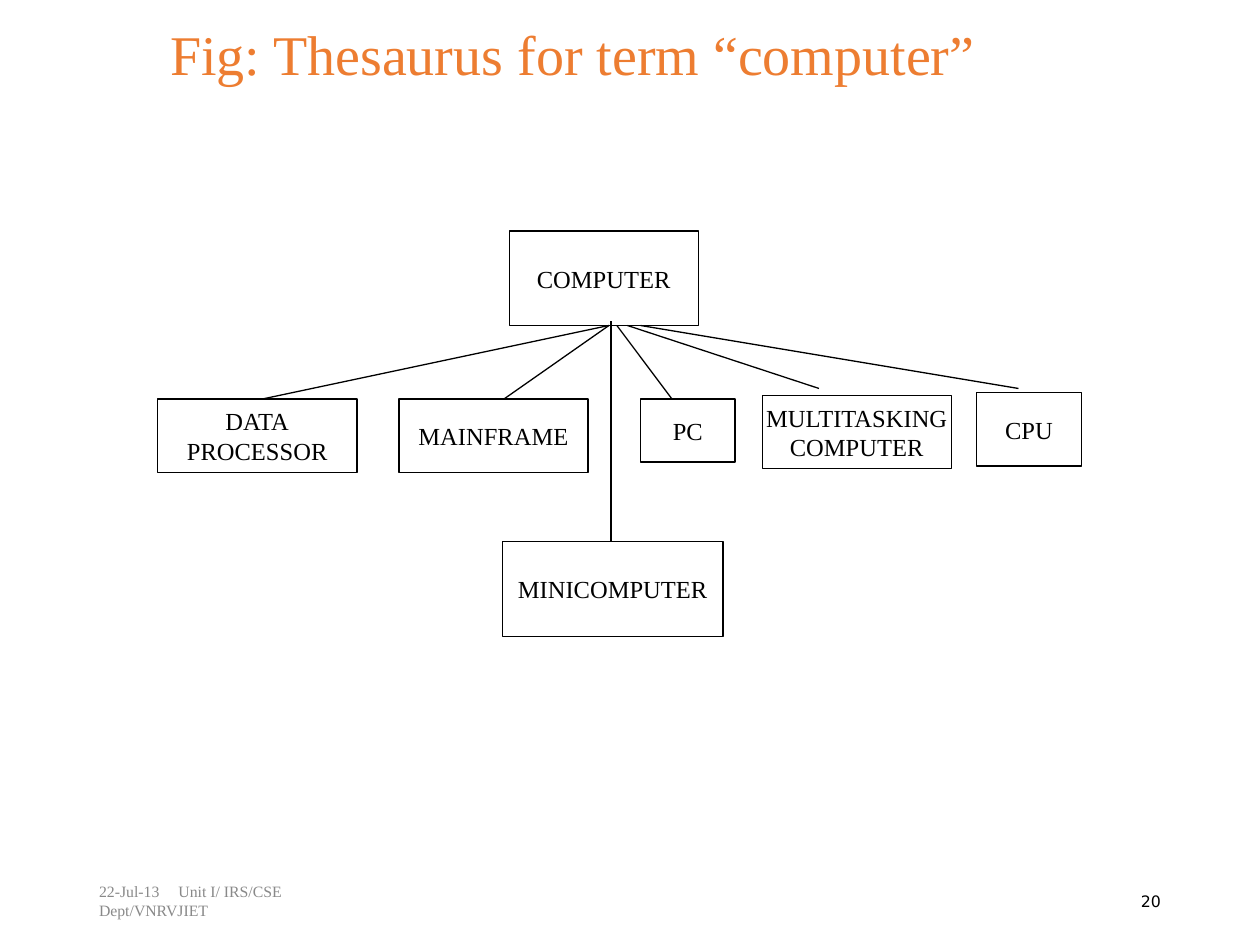
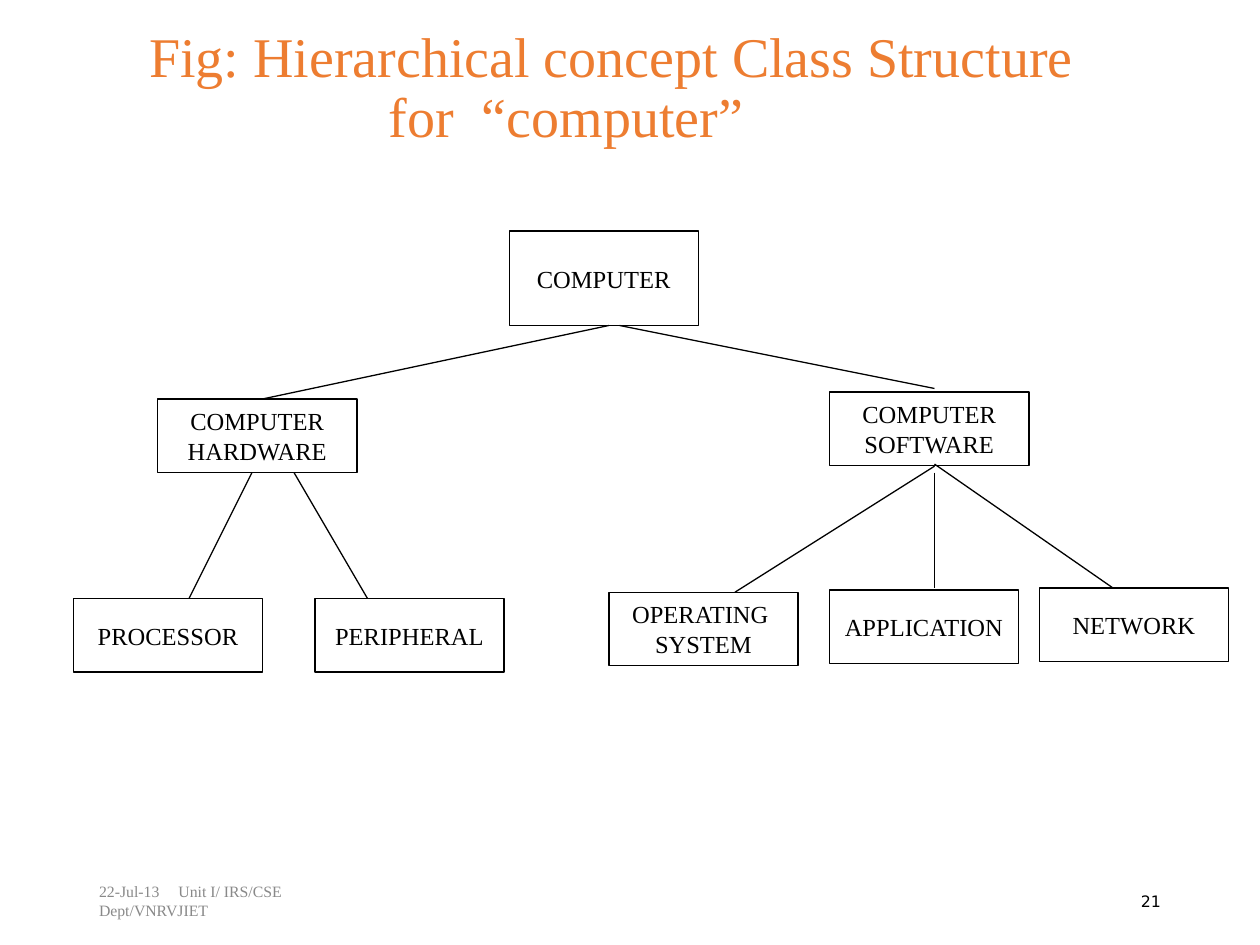
"""Build two slides that show a thesaurus and a class hierarchy for one term."""
from dataclasses import dataclass

import pptx
import pptx.dml.color
import pptx.enum.shapes
import pptx.enum.text
import pptx.oxml
import pptx.oxml.ns
import pptx.util

ALIGN = pptx.enum.text.PP_ALIGN
TITLE_ONLY = 5
COLUMNS, ROWS = 120, 90
SLIDE_WIDTH = pptx.util.Inches(10)
SLIDE_HEIGHT = pptx.util.Inches(7.5)


@dataclass(frozen=True)
class Theme:
    """Colours, fonts and sizes that the slides share."""
    title_color: str = "ED7D31"
    footer_color: str = "898989"
    ink: str = "000000"
    font: str = "Times New Roman"
    number_font: str = "DejaVu Sans"
    title_size: int = 32
    node_size: int = 14
    footer_size: int = 9
    line_width: float = 0.75


THEME = Theme()
ROOT = (48.5, 22, 18, 9, ["COMPUTER"])

THESAURUS_NODES = [
    ROOT,
    (15, 38, 19, 7, ["DATA", "PROCESSOR"]),
    (38, 38, 18, 7, ["MAINFRAME"]),
    (61, 38, 9, 6, ["PC"]),
    (47.85, 51.6, 21, 9, ["MINICOMPUTER"]),
    (72.6, 37.65, 18, 7, ["MULTITASKING", "COMPUTER"]),
    (93, 37.4, 10, 7, ["CPU"]),
]
THESAURUS_LINKS = [
    (58.2, 30.6, 58.2, 51.6),
    (58.75, 31, 64, 38),
    (59.75, 31, 78, 37),
    (61, 31, 97, 37),
    (58, 31, 48, 38),
    (58, 31, 25, 38),
]
HIERARCHY_NODES = [
    ROOT,
    (15, 38, 19, 7, ["COMPUTER", "HARDWARE"]),
    (79, 37.35, 19, 7, ["COMPUTER", "SOFTWARE"]),
    (7, 57, 18, 7, ["PROCESSOR"]),
    (30, 57, 18, 7, ["PERIPHERAL"]),
    (58, 56.4, 18, 7, ["OPERATING ", "SYSTEM"]),
    (79, 56.2, 18, 7, ["APPLICATION"]),
    (99, 56, 18, 7, ["NETWORK"]),
]
HIERARCHY_LINKS = [
    (59, 31, 89, 37),
    (58, 31, 25, 38),
    (24, 45, 18, 57),
    (28, 45, 35, 57),
    (89, 45, 89, 56),
    (89, 44.4, 70, 56.4),
    (89, 44.2, 106, 56),
]


def grid(*values):
    """Turn alternating column and row counts into slide lengths."""
    units = (SLIDE_WIDTH / COLUMNS, SLIDE_HEIGHT / ROWS)
    return [round(value * units[index % 2]) for index, value in enumerate(values)]


def add_tab_stops(paragraph, stops):
    """Give a paragraph left tab stops, in inches."""
    properties = paragraph._p.get_or_add_pPr()
    tab_list = pptx.oxml.parse_xml(f'<a:tabLst {pptx.oxml.ns.nsdecls("a")}/>')
    for stop in stops:
        tab = tab_list.makeelement(pptx.oxml.ns.qn("a:tab"),
                                   {"pos": str(pptx.util.Inches(stop)), "algn": "l"})
        tab_list.append(tab)
    properties.append(tab_list)


def write(shape, lines, size, color, font=THEME.font, align=ALIGN.LEFT,
          wrap=True, spacing=1.0, stops=()):
    """Fill a shape with one formatted paragraph per line."""
    frame = shape.text_frame
    frame.auto_size = pptx.enum.text.MSO_AUTO_SIZE.NONE
    frame.word_wrap = wrap
    frame.vertical_anchor = pptx.enum.text.MSO_ANCHOR.MIDDLE
    for index, line in enumerate(lines):
        paragraph = frame.add_paragraph() if index else frame.paragraphs[0]
        paragraph.alignment = align
        paragraph.line_spacing = spacing
        if "\t" in line:
            add_tab_stops(paragraph, stops)
        run = paragraph.add_run()
        run.text = line
        run.font.size = pptx.util.Pt(size)
        run.font.name = font
        run.font.color.rgb = pptx.dml.color.RGBColor.from_string(color)


def draw_line(line):
    """Apply the shared outline to a shape or connector."""
    line.color.rgb = pptx.dml.color.RGBColor.from_string(THEME.ink)
    line.width = pptx.util.Pt(THEME.line_width)


def set_title(slide, column, row, lines):
    """Place the title so that it reaches the right edge of the slide."""
    title = slide.shapes.title
    title.left, title.top, title.width, title.height = grid(
        column, row, COLUMNS - column, 13)
    write(title, lines, THEME.title_size, THEME.title_color,
          spacing=0.9, stops=(1.9, 2.64))


def add_footer(slide, number):
    """Add the date line and the slide number."""
    date = slide.shapes.add_textbox(*grid(8.25, 83.4, 27, 4.8))
    write(date, ["22-Jul-13\tUnit I/ IRS/CSE Dept/VNRVJIET"],
          THEME.footer_size, THEME.footer_color, stops=(0.63,))
    page = slide.shapes.add_textbox(*grid(84.75, 83.4, 27, 4.8))
    write(page, [str(number)], THEME.footer_size, THEME.ink,
          font=THEME.number_font, align=ALIGN.RIGHT)


def add_node(slide, column, row, width, height, lines):
    """Add one outlined box with centred text."""
    node = slide.shapes.add_shape(pptx.enum.shapes.MSO_SHAPE.RECTANGLE,
                                  *grid(column, row, width, height))
    node.shadow.inherit = False
    node.fill.background()
    draw_line(node.line)
    write(node, lines, THEME.node_size, THEME.ink, align=ALIGN.CENTER, wrap=False)


def add_link(slide, *ends):
    """Add one straight line between two grid points."""
    link = slide.shapes.add_connector(pptx.enum.shapes.MSO_CONNECTOR.STRAIGHT,
                                      *grid(*ends))
    draw_line(link.line)
    properties = link.element.spPr
    properties.append(properties.makeelement(pptx.oxml.ns.qn("a:effectLst"), {}))


def add_diagram_slide(presentation, number, title, nodes, links):
    """Add a slide with a title, a tree of boxes and the footer."""
    layout = presentation.slide_layouts[TITLE_ONLY]
    slide = presentation.slides.add_slide(layout)
    set_title(slide, *title)
    add_footer(slide, number)
    for node in nodes:
        add_node(slide, *node)
    for link in links:
        add_link(slide, *link)


def main():
    """Build and save the presentation."""
    presentation = pptx.Presentation()
    presentation.slide_width = SLIDE_WIDTH
    presentation.slide_height = SLIDE_HEIGHT
    add_diagram_slide(presentation, 20,
                      (15, -1, ["Fig: Thesaurus for term “computer”"]),
                      THESAURUS_NODES, THESAURUS_LINKS)
    add_diagram_slide(presentation, 21,
                      (13, 2, ["Fig: Hierarchical concept Class Structure",
                               "\tfor\t“computer”"]),
                      HIERARCHY_NODES, HIERARCHY_LINKS)
    presentation.save("out.pptx")


if __name__ == "__main__":
    main()
